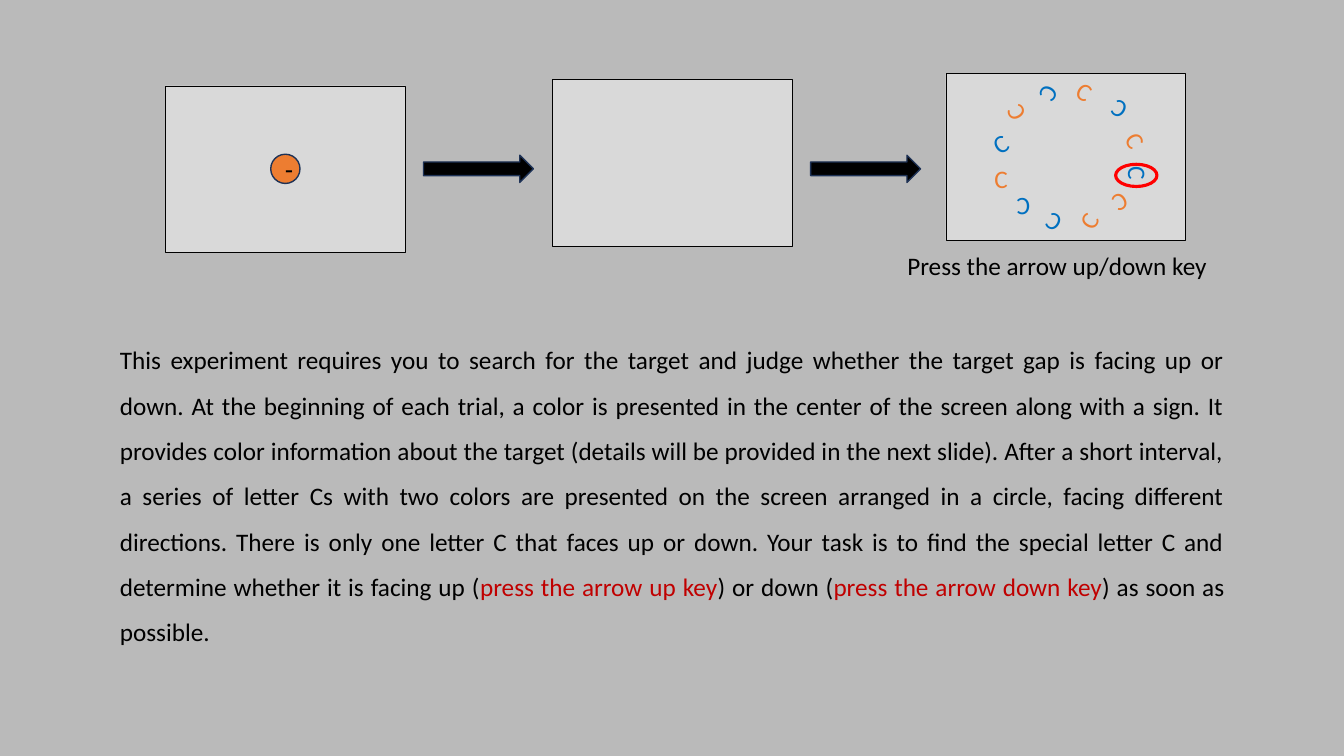
"""Build the instruction slide of a visual search experiment."""
import pptx
import pptx.util
import pptx.dml.color
import pptx.enum.shapes
import pptx.enum.text

COLORS = {"back": "BABABA", "screen": "D9D9D9", "black": "000000",
          "orange": "ED7D31", "blue": "0070C0", "navy": "1E3256",
          "key": "C00000", "ring": "FF0000"}
INSTRUCTIONS = [
    ("This experiment requires you to search for the target and judge whether "
     "the target gap is facing up or down. At the beginning of each trial, a "
     "color is presented in the center of the screen along with a sign. It "
     "provides color information about the target (details will be provided in "
     "the next slide). After a short interval, a series of letter Cs with two "
     "colors are presented on the screen arranged in a circle, facing different "
     "directions. There is only one letter C that faces up or down. Your task "
     "is to find the special letter C and determine whether it is facing up (",
     "black"),
    ("press the arrow up key", "key"),
    (") or down (", "black"),
    ("press the arrow down key", "key"),
    (") as soon as possible.", "black"),
]
CAPTION = "Press the arrow up/down key"
SCREENS = [(1.64, 0.85), (5.48, 0.79), (9.38, 0.73)]
SCREEN_W, SCREEN_H = 2.38, 1.65
ARROW_W, ARROW_H, ARROW_Y, ARROW_GAP = 1.09, 0.27, 1.54, 0.18
CUE, LETTER = 0.29, 0.22
LETTERS = [
    (10.75, 0.92, 30, "orange"), (11.10, 1.08, 210, "blue"),
    (11.25, 1.40, 60, "orange"), (11.27, 1.72, 90, "blue"),
    (11.11, 2.00, 150, "orange"), (10.81, 2.20, 300, "orange"),
    (10.45, 2.20, 210, "blue"), (10.15, 2.05, 180, "blue"),
    (9.93, 1.79, 0, "orange"), (9.93, 1.44, 330, "blue"),
    (10.08, 1.12, 240, "orange"), (10.40, 0.93, 120, "blue"),
]
TARGET = 3
RING_W, RING_H = 0.41, 0.22

SHAPE = pptx.enum.shapes.MSO_SHAPE
ALIGN = pptx.enum.text.PP_ALIGN
MIDDLE = pptx.enum.text.MSO_ANCHOR.MIDDLE
GROW = pptx.enum.text.MSO_AUTO_SIZE.SHAPE_TO_FIT_TEXT


def rgb(name):
    return pptx.dml.color.RGBColor.from_string(COLORS[name])


def inches(*lengths):
    return [pptx.util.Inches(v) for v in lengths]


def add_shape(s, kind, box, fill, line, width):
    sp = s.shapes.add_shape(kind, *inches(*box))
    sp.shadow.inherit = False
    if fill:
        sp.fill.solid()
        sp.fill.fore_color.rgb = rgb(fill)
    else:
        sp.fill.background()
    sp.line.color.rgb = rgb(line)
    sp.line.width = pptx.util.Pt(width)
    return sp


def write(sp, runs, align, font="Calibri", spacing=None):
    p = sp.text_frame.paragraphs[0]
    p.alignment = align
    p.line_spacing = spacing
    for text, color in runs:
        r = p.add_run()
        r.text = text
        r.font.size = pptx.util.Pt(18)
        r.font.name = font
        r.font.color.rgb = rgb(color)
    return sp.text_frame


def add_letter(s, x, y, angle, color):
    left, top, right, bottom = inches(x - LETTER / 2, y - LETTER / 2,
                                      x + LETTER / 2, y + LETTER / 2)
    outline = s.shapes.build_freeform(left, top)
    outline.add_line_segments([(right, top), (right, bottom), (left, bottom)])
    sp = outline.convert_to_shape()
    sp.shadow.inherit = False
    sp.fill.background()
    sp.line.fill.background()
    sp.rotation = angle
    tf = write(sp, [("C", color)], ALIGN.CENTER, spacing=0.9)
    tf.paragraphs[0].space_after = pptx.util.Pt(6.3)
    tf.word_wrap = True
    tf.vertical_anchor = MIDDLE
    inset = pptx.util.Inches(0.03)
    tf.margin_left = tf.margin_right = tf.margin_top = tf.margin_bottom = inset


def main():
    prs = pptx.Presentation()
    prs.slide_width, prs.slide_height = inches(13.33, 7.5)
    s = prs.slides.add_slide(prs.slide_layouts[6])
    s.background.fill.solid()
    s.background.fill.fore_color.rgb = rgb("back")

    for x, y in SCREENS:
        add_shape(s, SHAPE.RECTANGLE, (x, y, SCREEN_W, SCREEN_H),
                  "screen", "black", 0.25)
    for x, y in SCREENS[:-1]:
        add_shape(s, SHAPE.RIGHT_ARROW,
                  (x + SCREEN_W + ARROW_GAP, ARROW_Y, ARROW_W, ARROW_H),
                  "black", "navy", 1)

    x, y = SCREENS[0]
    cue = add_shape(s, SHAPE.OVAL,
                    (x + (SCREEN_W - CUE) / 2, y + (SCREEN_H - CUE) / 2, CUE, CUE),
                    "orange", "navy", 1)
    write(cue, [("-", "black")], ALIGN.CENTER, "Arial").vertical_anchor = MIDDLE

    for letter in LETTERS:
        add_letter(s, *letter)
    x, y = LETTERS[TARGET][:2]
    add_shape(s, SHAPE.OVAL, (x - RING_W / 2, y + 0.02 - RING_H / 2, RING_W, RING_H),
              None, "ring", 2.25)

    caption = s.shapes.add_textbox(*inches(8.9, 2.43, 3.21, 0.4))
    tf = write(caption, [(CAPTION, "black")], ALIGN.LEFT)
    tf.word_wrap = False
    tf.auto_size = GROW
    body = s.shapes.add_textbox(*inches(1.09, 3.22, 11.15, 3.23))
    tf = write(body, INSTRUCTIONS, ALIGN.JUSTIFY, spacing=1.5)
    tf.word_wrap = True
    tf.auto_size = GROW
    prs.save("out.pptx")


if __name__ == "__main__":
    main()
